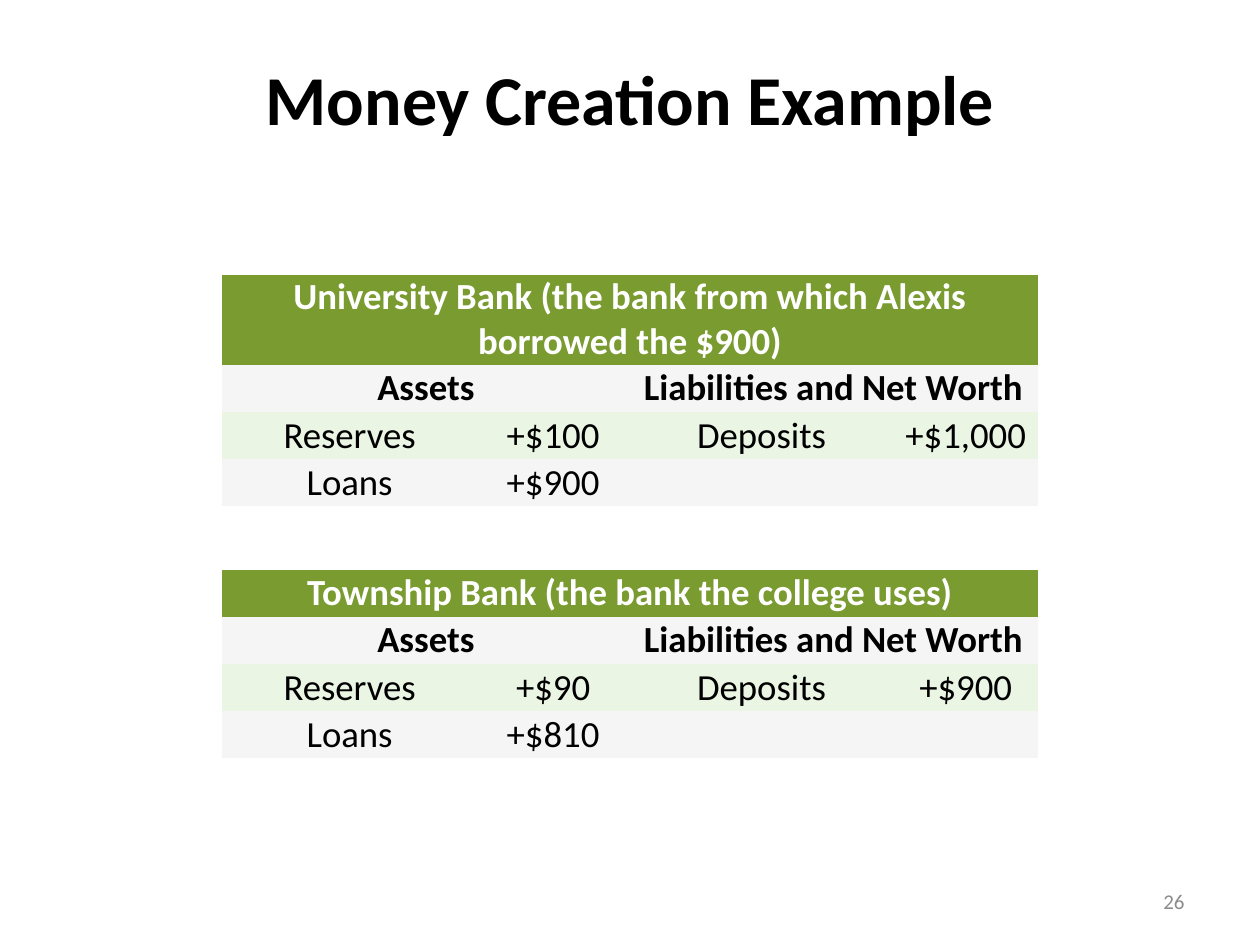
from dataclasses import dataclass

from pptx import Presentation
from pptx.dml.color import RGBColor
from pptx.enum.text import MSO_ANCHOR, PP_ALIGN
from pptx.oxml.ns import qn
from pptx.util import Inches, Pt

CENTER = PP_ALIGN.CENTER
RIGHT = PP_ALIGN.RIGHT
MIDDLE = MSO_ANCHOR.MIDDLE
TITLE_ONLY_LAYOUT = 5
PLAIN_TABLE_STYLE = "{2D5ABB26-0587-4C30-8999-92F81FD0307C}"


@dataclass(frozen=True)
class Theme:
    font: str = "Calibri"
    text: str = "000000"
    header_text: str = "FFFFFF"
    muted: str = "8C8C8C"
    header: str = "799B30"
    light_row: str = "F5F5F5"
    green_row: str = "EAF5E4"
    title_size: int = 40
    table_size: int = 21
    number_size: int = 12


THEME = Theme()
COLUMN_WIDTHS = (2.02, 1.21, 2.1, 1.14)
ROW_HEIGHT = 0.375
ROW_FILLS = (THEME.header, THEME.light_row, THEME.green_row, THEME.light_row)
TABLE_LEFT = 1.765


def write_text(text_frame, text, size, color=THEME.text, bold=False, align=CENTER):
    text_frame.word_wrap = True
    paragraph = text_frame.paragraphs[0]
    paragraph.alignment = align
    run = paragraph.add_run()
    run.text = text
    run.font.name = THEME.font
    run.font.size = Pt(size)
    run.font.bold = bold
    run.font.color.rgb = RGBColor.from_string(color)


def add_title(slide, text, left, top, width, height):
    title = slide.shapes.title
    title.left, title.top = Inches(left), Inches(top)
    title.width, title.height = Inches(width), Inches(height)
    title.text_frame.vertical_anchor = MIDDLE
    write_text(title.text_frame, text, THEME.title_size, bold=True)


def add_balance_sheet(slide, bank, entries, left, top, header_height):
    rows = [
        (bank, "", "", ""),
        ("Assets", "", "Liabilities and Net Worth", ""),
        *entries,
    ]
    heights = [header_height] + [ROW_HEIGHT] * (len(rows) - 1)
    table = slide.shapes.add_table(
        len(rows), len(COLUMN_WIDTHS), Inches(left), Inches(top),
        Inches(sum(COLUMN_WIDTHS)), Inches(sum(heights)),
    ).table
    table.horz_banding = False
    table._tbl.tblPr.find(qn("a:tableStyleId")).text = PLAIN_TABLE_STYLE
    for column, width in zip(table.columns, COLUMN_WIDTHS):
        column.width = Inches(width)
    table.cell(0, 0).merge(table.cell(0, 3))
    table.cell(1, 0).merge(table.cell(1, 1))
    table.cell(1, 2).merge(table.cell(1, 3))
    for row_index, (row, height) in enumerate(zip(table.rows, heights)):
        row.height = Inches(height)
        for cell, text in zip(row.cells, rows[row_index]):
            cell.fill.solid()
            cell.fill.fore_color.rgb = RGBColor.from_string(ROW_FILLS[row_index])
            cell.vertical_anchor = MIDDLE
            cell.margin_left = cell.margin_right = Inches(0.06)
            cell.margin_top = cell.margin_bottom = 0
            if text:
                color = THEME.header_text if row_index == 0 else THEME.text
                write_text(cell.text_frame, text, THEME.table_size,
                           color=color, bold=row_index < 2)


def add_slide_number(slide, text, left, top, width, height):
    box = slide.shapes.add_textbox(
        Inches(left), Inches(top), Inches(width), Inches(height))
    box.text_frame.vertical_anchor = MIDDLE
    write_text(box.text_frame, text, THEME.number_size,
               color=THEME.muted, align=RIGHT)


def main():
    presentation = Presentation()
    presentation.slide_width = Inches(10)
    presentation.slide_height = Inches(7.5)
    slide = presentation.slides.add_slide(
        presentation.slide_layouts[TITLE_ONLY_LAYOUT])
    add_title(slide, "Money Creation Example", 0.5, 0.3, 9, 0.95)
    add_balance_sheet(
        slide, "University Bank (the bank from which Alexis borrowed the $900)",
        [("Reserves", "+$100", "Deposits", "+$1,000"), ("Loans", "+$900", "", "")],
        TABLE_LEFT, 2.18, 0.7)
    add_balance_sheet(
        slide, "Township Bank (the bank the college uses)",
        [("Reserves", "+$90", "Deposits", "+$900"), ("Loans", "+$810", "", "")],
        TABLE_LEFT, 4.52, ROW_HEIGHT)
    add_slide_number(slide, "26", 7.17, 6.95, 2.33, 0.4)
    presentation.save("out.pptx")


if __name__ == "__main__":
    main()
